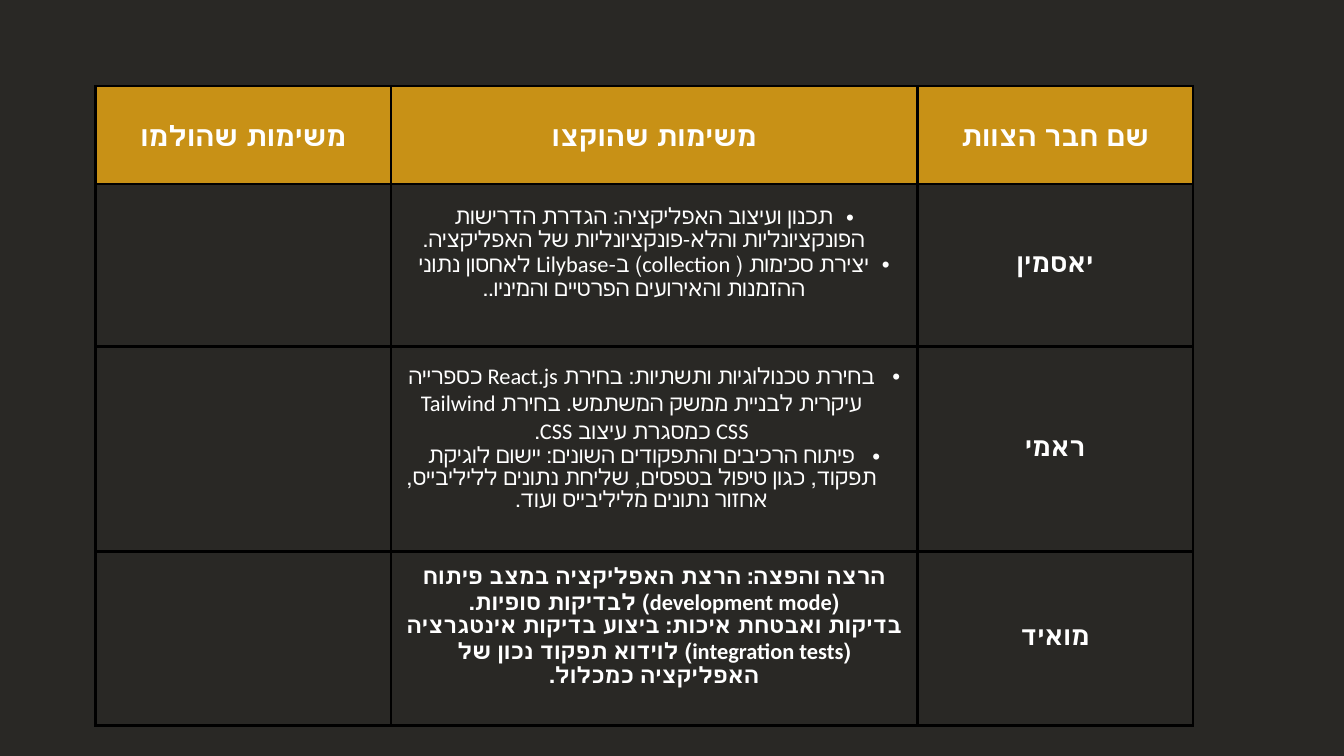
from dataclasses import dataclass

from lxml.etree import SubElement
from pptx import Presentation
from pptx.dml.color import RGBColor
from pptx.enum.text import MSO_ANCHOR as Anchor, PP_ALIGN as Align
from pptx.oxml import parse_xml
from pptx.oxml.ns import nsdecls, qn
from pptx.util import Inches, Pt

COLORS = {"page": "292825", "header": "C89116", "text": "FFFFFF", "border": "000000"}
COLUMN_WIDTHS = (4.4, 7.83, 4.1)
ROW_HEIGHTS = (1.46, 2.42, 3.05, 2.59)
TABLE_LEFT, TABLE_TOP = 1.42, 1.28
CELL_MARGIN = 0.21
TASK_BOTTOM_MARGIN = 0.55
BORDER_WIDTH = 3


@dataclass(frozen=True)
class TextStyle:
    size: float
    bold: bool = True
    font: str = "Calibri"
    line_pitch: float | None = None
    right_to_left: bool = False
    bullet_indent: float = 0
    bottom_margin: float = CELL_MARGIN


@dataclass(frozen=True)
class Member:
    name: str
    tasks: tuple[str, ...]
    task_style: TextStyle


def task_style(bold: bool = False, bullet_indent: float = 0) -> TextStyle:
    return TextStyle(
        24, bold=bold, right_to_left=True,
        bullet_indent=bullet_indent, bottom_margin=TASK_BOTTOM_MARGIN,
    )


HEADER = TextStyle(30, line_pitch=36.4)
HEADER_ARIAL = TextStyle(30, font="Arial", line_pitch=36.4)
NAME = TextStyle(28, line_pitch=26.9)

HEADINGS = (
    ("משימות שהולמו", HEADER_ARIAL),
    ("משימות שהוקצו", HEADER_ARIAL),
    ("שם חבר הצוות", HEADER),
)
MEMBERS = (
    Member(
        "יאסמין",
        (
            "תכנון ועיצוב האפליקציה: הגדרת הדרישות הפונקציונליות "
            "והלא-פונקציונליות של האפליקציה.",
            "יצירת סכימות ( collection) ב-Lilybase לאחסון נתוני "
            "ההזמנות והאירועים הפרטיים והמיניו..",
        ),
        task_style(bullet_indent=0.31),
    ),
    Member(
        "ראמי",
        (
            "בחירת טכנולוגיות ותשתיות: בחירת React.js כספרייה עיקרית לבניית "
            "ממשק המשתמש. בחירת Tailwind CSS כמסגרת עיצוב CSS.",
            "פיתוח הרכיבים והתפקודים השונים: יישום לוגיקת תפקוד, כגון טיפול "
            "בטפסים, שליחת נתונים לליליבייס, אחזור נתונים מליליבייס ועוד.",
        ),
        task_style(bullet_indent=0.38),
    ),
    Member(
        "מואיד",
        (
            "הרצה והפצה: הרצת האפליקציה במצב פיתוח (development mode) "
            "לבדיקות סופיות.",
            "בדיקות ואבטחת איכות: ביצוע בדיקות אינטגרציה (integration tests) "
            "לוידוא תפקוד נכון של האפליקציה כמכלול.",
        ),
        task_style(bold=True),
    ),
)


def rgb(name: str) -> RGBColor:
    return RGBColor.from_string(COLORS[name])


def add_borders(cell) -> None:
    properties = cell._tc.get_or_add_tcPr()
    for position, side in enumerate(("lnL", "lnR", "lnT", "lnB")):
        line = parse_xml(
            f'<a:{side} {nsdecls("a")} w="{Pt(BORDER_WIDTH)}"><a:solidFill>'
            f'<a:srgbClr val="{COLORS["border"]}"/></a:solidFill></a:{side}>'
        )
        properties.insert(position, line)


def set_direction(para, style: TextStyle) -> None:
    """Apply right-to-left order and the bullet with its hanging indent."""
    properties = para._p.get_or_add_pPr()
    if style.right_to_left:
        properties.set("rtl", "1")
    if style.bullet_indent:
        indent = Inches(style.bullet_indent)
        properties.set("marL", str(indent))
        properties.set("indent", str(-indent))
        SubElement(properties, qn("a:buFont"), typeface="Arial")
        SubElement(properties, qn("a:buChar"), char="•")


def write_cell(cell, texts: tuple[str, ...], style: TextStyle) -> None:
    margin = Inches(CELL_MARGIN)
    cell.margin_left = cell.margin_right = cell.margin_top = margin
    cell.margin_bottom = Inches(style.bottom_margin)
    cell.vertical_anchor = Anchor.MIDDLE
    cell.text_frame.text = "\n".join(texts)
    for para in cell.text_frame.paragraphs:
        set_direction(para, style)
        para.alignment = Align.CENTER
        if style.line_pitch:
            para.line_spacing = Pt(style.line_pitch)
        for span in para.runs:
            span.font.size = Pt(style.size)
            span.font.bold = style.bold
            span.font.name = style.font
            span.font.color.rgb = rgb("text")


def add_task_table(page):
    frame = page.shapes.add_table(
        len(ROW_HEIGHTS), len(COLUMN_WIDTHS),
        Inches(TABLE_LEFT), Inches(TABLE_TOP),
        Inches(sum(COLUMN_WIDTHS)), Inches(sum(ROW_HEIGHTS)),
    )
    table = frame.table
    table.first_row = table.horz_banding = False
    for column, width in zip(table.columns, COLUMN_WIDTHS):
        column.width = Inches(width)
    for row_index, (row, height) in enumerate(zip(table.rows, ROW_HEIGHTS)):
        row.height = Inches(height)
        for cell in row.cells:
            if row_index == 0:
                cell.fill.solid()
                cell.fill.fore_color.rgb = rgb("header")
            else:
                cell.fill.background()
            add_borders(cell)
    return table


def main() -> None:
    deck = Presentation()
    deck.slide_width, deck.slide_height = Inches(20), Inches(11.25)
    page = deck.slides.add_slide(deck.slide_layouts[6])
    page.background.fill.solid()
    page.background.fill.fore_color.rgb = rgb("page")

    table = add_task_table(page)
    for column, (heading, style) in enumerate(HEADINGS):
        write_cell(table.cell(0, column), (heading,), style)
    for row, member in enumerate(MEMBERS, start=1):
        write_cell(table.cell(row, 1), member.tasks, member.task_style)
        write_cell(table.cell(row, 2), (member.name,), NAME)
    deck.save("out.pptx")


if __name__ == "__main__":
    main()
